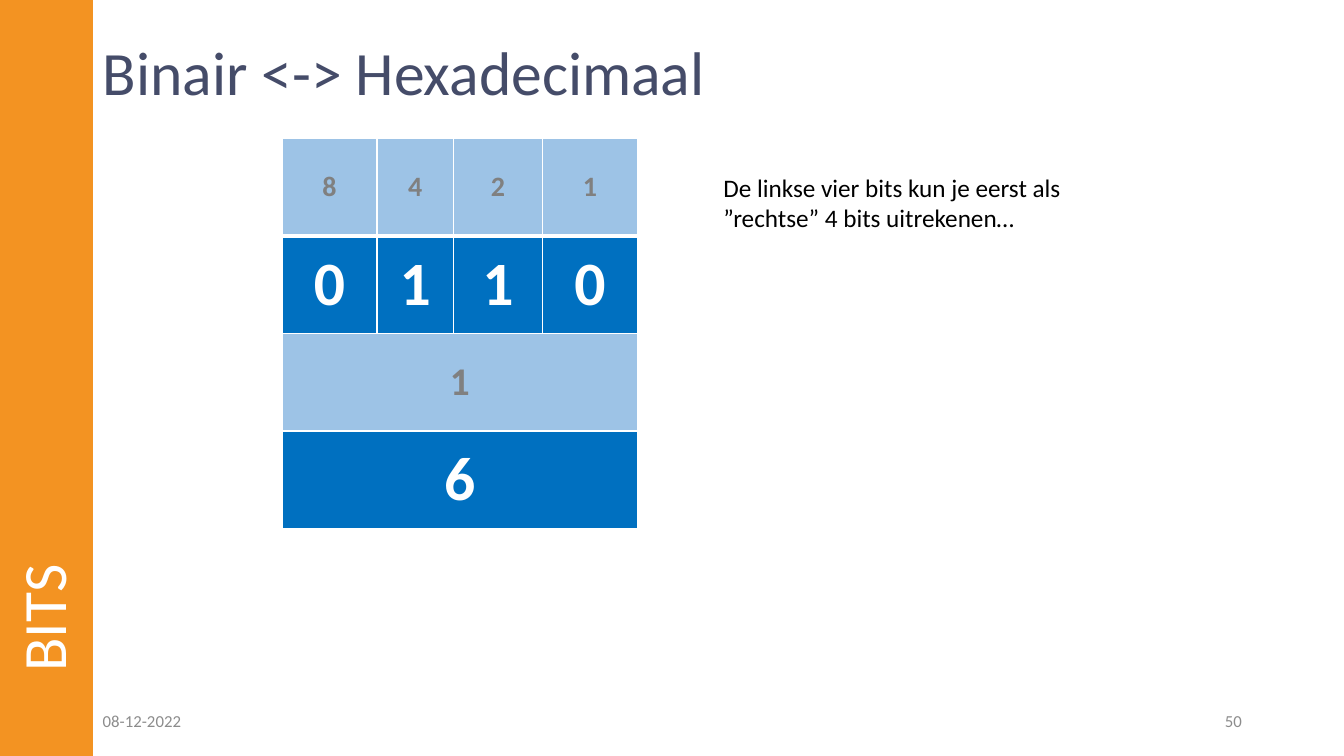
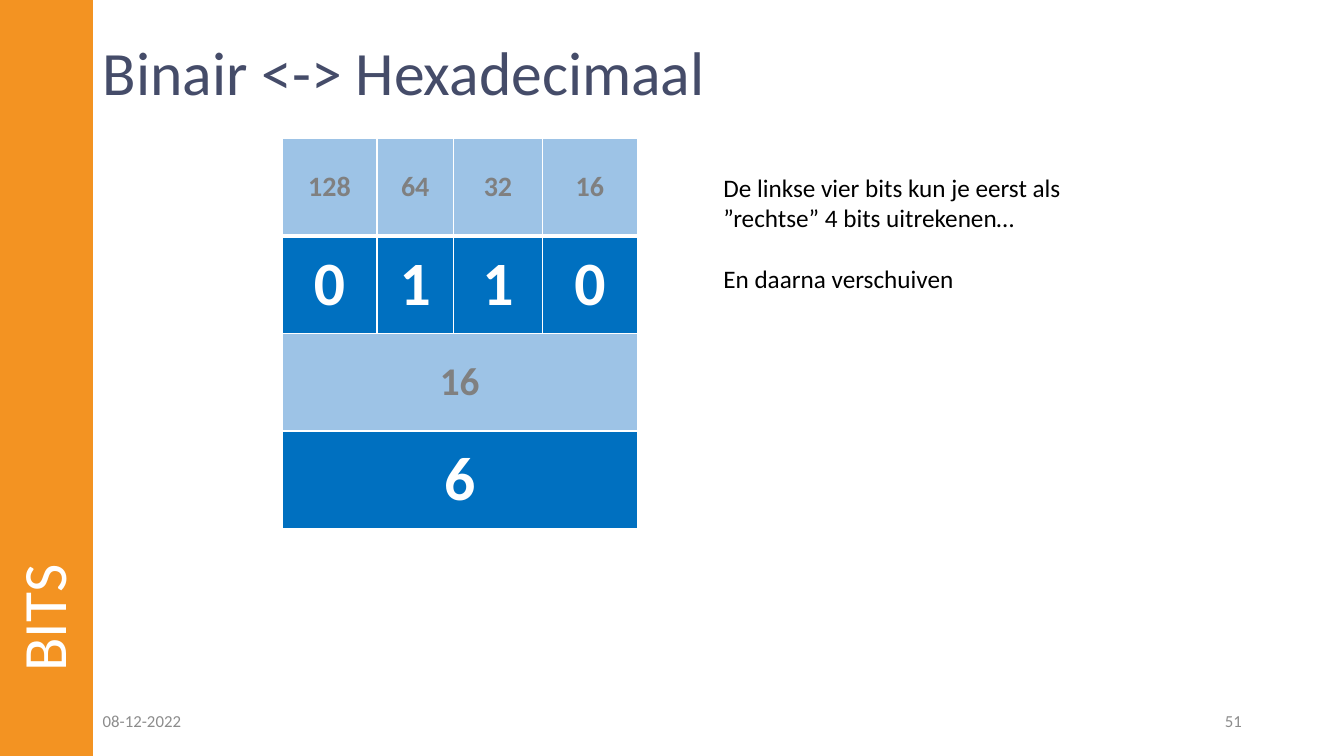
from dataclasses import dataclass
from lxml.etree import SubElement
from pptx import Presentation
from pptx.dml.color import RGBColor
from pptx.enum.shapes import MSO_SHAPE
from pptx.enum.text import MSO_ANCHOR as ANCHOR, PP_ALIGN as ALIGN
from pptx.oxml.ns import qn
from pptx.util import Cm, Pt

FONT = "Calibri"
ORANGE, NAVY, GREY = "F39322", "454C69", "8C8C8C"
LIGHT, BLUE, DIM = "9DC3E6", "0070C0", "808080"
WHITE, BLACK = "FFFFFF", "000000"
WIDTH, HEIGHT, BAND = 33.87, 19.05, 2.34
COLUMNS = (2.39, 1.93, 2.24, 2.39)
ROW_HEIGHT = 2.46


@dataclass
class RowStyle:
    size: int
    color: str
    fill: str
    top: int = 1
    bottom: int = 1


@dataclass
class BitSlide:
    number: int
    weights: list[str]
    bits: list[str]
    factor: str
    digit: str
    remarks: list[str]
    text_height: float


ROW_STYLES = [
    RowStyle(20, DIM, LIGHT, bottom=3),
    RowStyle(44, WHITE, BLUE, top=3),
    RowStyle(28, DIM, LIGHT),
    RowStyle(44, WHITE, BLUE),
]

EXPLAIN = "De linkse vier bits kun je eerst als ”rechtse” 4 bits uitrekenen…"
SLIDES = [
    BitSlide(50, ["8", "4", "2", "1"], ["0", "1", "1", "0"], "1", "6",
             [EXPLAIN], 1.8),
    BitSlide(51, ["128", "64", "32", "16"], ["0", "1", "1", "0"], "16", "6",
             [EXPLAIN, "En daarna verschuiven"], 3.33),
]


def rgb(color: str) -> RGBColor:
    return RGBColor.from_string(color)


def style(tf, size: int, color: str, align=ALIGN.LEFT, bold=False) -> None:
    for p in tf.paragraphs:
        p.alignment = align
        for r in p.runs:
            r.font.name, r.font.size, r.font.bold = FONT, Pt(size), bold
            r.font.color.rgb = rgb(color)


def add_text(s, box: tuple, text: str, size: int, color: str,
             align=ALIGN.LEFT, anchor=ANCHOR.MIDDLE):
    sp = s.shapes.add_textbox(*map(Cm, box))
    tf = sp.text_frame
    tf.word_wrap = True
    tf.vertical_anchor = anchor
    tf.text = text
    style(tf, size, color, align)
    return sp


def add_frame(s, number: int) -> None:
    # Title
    title = s.shapes.title
    title.left, title.top, title.width, title.height = map(
        Cm, (BAND, 0.81, 29.21, 2.18))
    tf = title.text_frame
    tf.text = "Binair <-> Hexadecimaal"
    tf.vertical_anchor = ANCHOR.MIDDLE
    tf.paragraphs[0].line_spacing = 0.9
    style(tf, 44, NAVY)

    # Side band with its upright label
    band = s.shapes.add_shape(MSO_SHAPE.RECTANGLE, 0, 0, Cm(BAND), Cm(HEIGHT))
    band.shadow.inherit = False
    band.fill.solid()
    band.fill.fore_color.rgb = rgb(ORANGE)
    band.line.fill.background()
    label = add_text(s, (-7.42, 7.42, 17.17, BAND), "BITS", 44, WHITE)
    label.rotation = 270
    label.text_frame.paragraphs[0].line_spacing = 0.9

    # Footer
    add_text(s, (BAND, 17.65, 7.62, 1.02), "08-12-2022", 12, GREY)
    add_text(s, (23.93, 17.65, 7.62, 1.02), str(number), 12, GREY, ALIGN.RIGHT)


def set_borders(cell, top: int, bottom: int) -> None:
    tc_pr = cell._tc.get_or_add_tcPr()
    for side, width in (("L", 1), ("R", 1), ("T", top), ("B", bottom)):
        ln = SubElement(tc_pr, qn(f"a:ln{side}"), w=str(Pt(width)))
        fill = SubElement(ln, qn("a:solidFill"))
        SubElement(fill, qn("a:srgbClr"), val=WHITE)


def add_bit_table(s, rows: list[list[str]]) -> None:
    table = s.shapes.add_table(
        len(rows), len(COLUMNS), Cm(7.11), Cm(3.48),
        Cm(sum(COLUMNS)), Cm(ROW_HEIGHT * len(rows))).table
    for column, width in zip(table.columns, COLUMNS):
        column.width = Cm(width)
    for i, (values, look) in enumerate(zip(rows, ROW_STYLES)):
        table.rows[i].height = Cm(ROW_HEIGHT)
        for j in range(len(COLUMNS)):
            cell = table.cell(i, j)
            set_borders(cell, look.top, look.bottom)
            cell.fill.solid()
            cell.fill.fore_color.rgb = rgb(look.fill)
        # A single value spans the whole row
        if len(values) == 1:
            table.cell(i, 0).merge(table.cell(i, len(COLUMNS) - 1))
        for j, value in enumerate(values):
            cell = table.cell(i, j)
            cell.vertical_anchor = ANCHOR.MIDDLE
            cell.text_frame.text = value
            style(cell.text_frame, look.size, look.color, ALIGN.CENTER, True)


def add_bit_slide(prs, data: BitSlide) -> None:
    s = prs.slides.add_slide(prs.slide_layouts[5])
    add_frame(s, data.number)
    add_bit_table(s, [data.weights, data.bits, [data.factor], [data.digit]])
    # Explanation beside the table
    sp = add_text(s, (17.98, 4.22, 10.54, data.text_height),
                  "\n".join(data.remarks), 18, BLACK, anchor=ANCHOR.TOP)
    for p in sp.text_frame.paragraphs[1:]:
        p.space_before = Pt(22)


def main() -> None:
    prs = Presentation()
    prs.slide_width, prs.slide_height = Cm(WIDTH), Cm(HEIGHT)
    for data in SLIDES:
        add_bit_slide(prs, data)
    prs.save("out.pptx")


if __name__ == "__main__":
    main()
